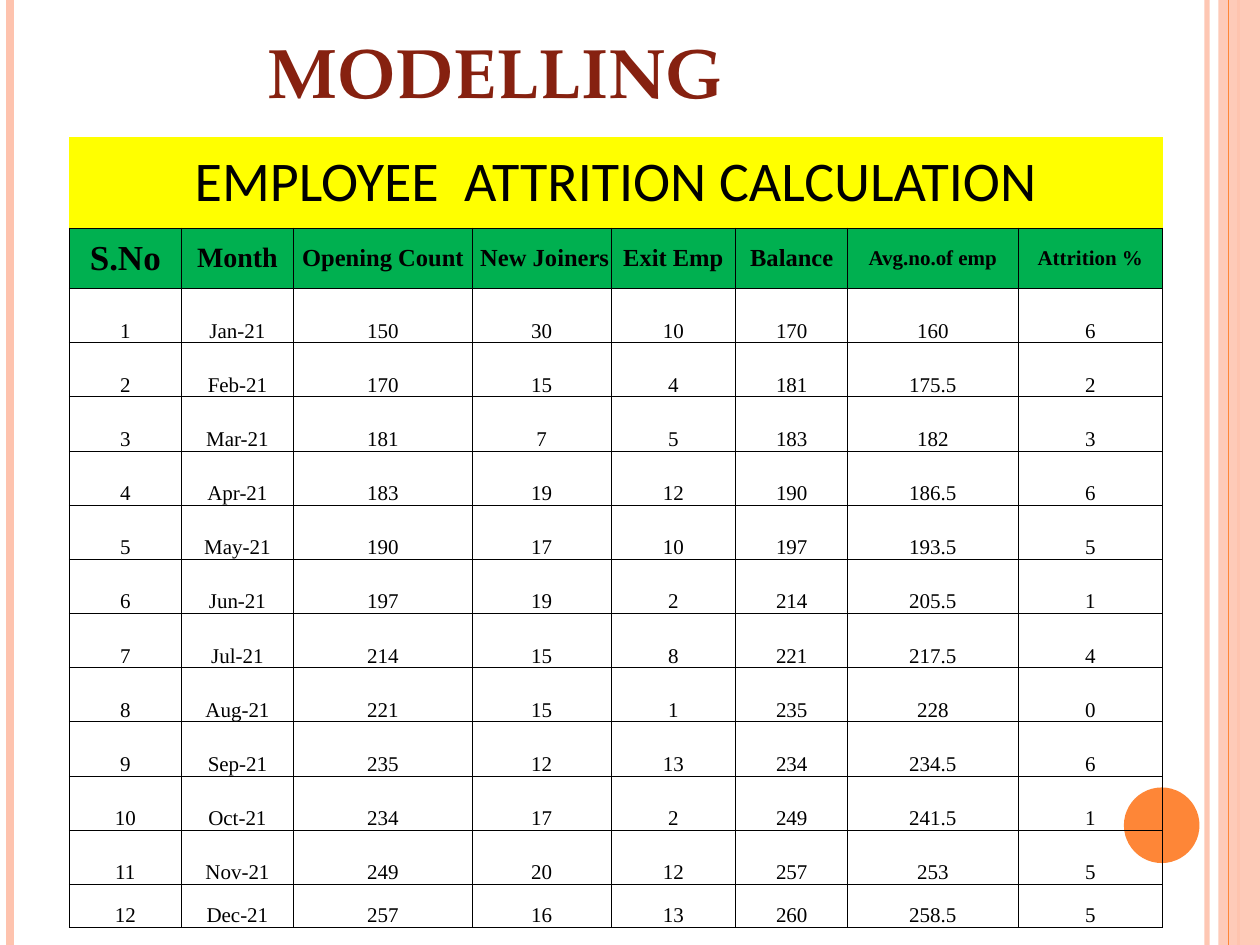
from dataclasses import dataclass

from lxml.etree import SubElement
from pptx import Presentation
from pptx.dml.color import RGBColor
from pptx.enum.shapes import MSO_CONNECTOR, MSO_SHAPE
from pptx.enum.text import MSO_ANCHOR, PP_ALIGN
from pptx.oxml import parse_xml
from pptx.oxml.ns import nsdecls, qn
from pptx.util import Inches, Pt


@dataclass(frozen=True)
class Theme:
    """Colours, fonts and type sizes of the slide."""

    peach: str = "FEC3AE"
    orange: str = "FE8637"
    maroon: str = "862110"
    yellow: str = "FFFF00"
    green: str = "00B050"
    black: str = "000000"
    title_font: str = "TeX Gyre Pagella"
    banner_font: str = "Calibri"
    table_font: str = "Times New Roman"
    title_size: int = 40
    banner_size: int = 32
    body_size: int = 12
    border_width: float = 0.5


THEME = Theme()
SLIDE_WIDTH, SLIDE_HEIGHT = 10, 7.5
TABLE_LEFT, TABLE_TOP = 0.55, 1.09
COLUMN_WIDTHS = (0.89, 0.89, 1.42, 1.1, 0.99, 0.89, 1.35, 1.15)
ROW_HEIGHTS = (0.72, 0.48, *[0.43] * 11, 0.34)
HEADERS = (
    ("S.No", 20), ("Month", 16), ("Opening Count", 14), (" New Joiners", 14),
    ("Exit Emp", 14), ("Balance", 14), ("Avg.no.of emp", 12), ("Attrition %", 12),
)
MONTHS = ("Jan", "Feb", "Mar", "Apr", "May", "Jun",
          "Jul", "Aug", "Sep", "Oct", "Nov", "Dec")
OPENING_COUNT = 150
NEW_JOINERS = (30, 15, 7, 19, 17, 19, 15, 15, 12, 17, 20, 16)
EXITS = (10, 4, 5, 12, 10, 2, 8, 1, 13, 2, 12, 13)


def attrition_rows():
    """Yield the table values month by month, carrying the balance forward."""
    opening = OPENING_COUNT
    for number, (month, joiners, exits) in enumerate(zip(MONTHS, NEW_JOINERS, EXITS), 1):
        balance = opening + joiners - exits
        average = (opening + balance) / 2
        rate = round(100 * exits / average)
        yield number, f"{month}-21", opening, joiners, exits, balance, f"{average:g}", rate
        opening = balance


def set_alpha(properties, percent):
    """Make the colour inside the given properties partly transparent."""
    color = next(properties.iter(qn("a:srgbClr")))
    SubElement(color, qn("a:alpha")).set("val", str(percent * 1000))


def format_run(paragraph, font_name, size, color, bold=False):
    """Apply one font to the runs of a paragraph."""
    for run in paragraph.runs:
        run.font.name = font_name
        run.font.size = Pt(size)
        run.font.bold = bold
        run.font.color.rgb = RGBColor.from_string(color)


def add_rule(slide, left, color, width, opacity=100):
    """Draw a full-height vertical line."""
    rule = slide.shapes.add_connector(
        MSO_CONNECTOR.STRAIGHT, Inches(left), 0, Inches(left), Inches(SLIDE_HEIGHT))
    rule.line.color.rgb = RGBColor.from_string(color)
    rule.line.width = Pt(width)
    properties = rule.line._get_or_add_ln().getparent()
    if opacity < 100:
        set_alpha(properties, opacity)
    SubElement(properties, qn("a:effectLst"))


def add_plain_shape(slide, kind, box, color, opacity=100):
    """Draw a filled shape without outline or shadow."""
    shape = slide.shapes.add_shape(kind, *map(Inches, box))
    shape.fill.solid()
    shape.fill.fore_color.rgb = RGBColor.from_string(color)
    if opacity < 100:
        set_alpha(shape.fill._xPr, opacity)
    shape.line.fill.background()
    shape.shadow.inherit = False


def add_decoration(slide):
    """Draw the side stripes and the corner disc."""
    add_rule(slide, 9.58, THEME.peach, 3, 93)
    add_rule(slide, 0.08, THEME.peach, 4.5)
    add_rule(slide, 9.75, THEME.orange, 0.75)
    add_plain_shape(slide, MSO_SHAPE.RECTANGLE, (9.67, 0, 0.33, SLIDE_HEIGHT), THEME.peach, 87)
    add_rule(slide, 9.83, THEME.peach, 1.5)
    add_rule(slide, 9.75, THEME.orange, 0.75)
    add_plain_shape(slide, MSO_SHAPE.OVAL, (8.92, 6.25, 0.6, 0.6), THEME.orange)


def set_title(slide, text):
    """Place and format the title placeholder."""
    title = slide.shapes.title
    title.left, title.top, title.width, title.height = map(Inches, (TABLE_LEFT, 0, 8.17, 0.94))
    frame = title.text_frame
    frame.text = text
    frame.margin_left = Inches(1.57)
    frame.vertical_anchor = MSO_ANCHOR.BOTTOM
    paragraph = frame.paragraphs[0]
    paragraph.alignment = PP_ALIGN.LEFT
    format_run(paragraph, THEME.title_font, THEME.title_size, THEME.maroon, True)


def set_borders(cell, visible_sides):
    """Draw the named sides of a cell and hide the others."""
    properties = cell._tc.get_or_add_tcPr()
    for position, side in enumerate("LRTB"):
        paint = (f'<a:solidFill><a:srgbClr val="{THEME.black}"/></a:solidFill>'
                 if side in visible_sides else "<a:noFill/>")
        border = parse_xml(
            f'<a:ln{side} {nsdecls("a")} w="{Pt(THEME.border_width)}">{paint}</a:ln{side}>')
        properties.insert(position, border)


def fill_cell(cell, text, font_name, size, bold=False, fill=None, anchor=MSO_ANCHOR.MIDDLE):
    """Write centred text into a cell and set its background."""
    cell.text_frame.text = str(text)
    cell.margin_left = cell.margin_right = cell.margin_top = cell.margin_bottom = 0
    cell.vertical_anchor = anchor
    paragraph = cell.text_frame.paragraphs[0]
    paragraph.alignment = PP_ALIGN.CENTER
    format_run(paragraph, font_name, size, THEME.black, bold)
    if fill:
        cell.fill.solid()
        cell.fill.fore_color.rgb = RGBColor.from_string(fill)
    else:
        cell.fill.background()


def add_attrition_table(slide):
    """Build the table with its banner, headers and monthly rows."""
    table = slide.shapes.add_table(
        len(ROW_HEIGHTS), len(COLUMN_WIDTHS), Inches(TABLE_LEFT), Inches(TABLE_TOP),
        Inches(sum(COLUMN_WIDTHS)), Inches(sum(ROW_HEIGHTS))).table
    table.first_row = table.horz_banding = False
    for column, width in zip(table.columns, COLUMN_WIDTHS):
        column.width = Inches(width)
    for row, height in zip(table.rows, ROW_HEIGHTS):
        row.height = Inches(height)

    banner = table.cell(0, 0)
    banner.merge(table.cell(0, len(COLUMN_WIDTHS) - 1))
    fill_cell(banner, "EMPLOYEE  ATTRITION CALCULATION",
              THEME.banner_font, THEME.banner_size, fill=THEME.yellow)
    for column, (text, size) in enumerate(HEADERS):
        fill_cell(table.cell(1, column), text, THEME.table_font, size, True, THEME.green)
    for row, values in enumerate(attrition_rows(), 2):
        for column, value in enumerate(values):
            fill_cell(table.cell(row, column), value, THEME.table_font,
                      THEME.body_size, anchor=MSO_ANCHOR.BOTTOM)
    for row_number, row in enumerate(table.rows):
        for cell in row.cells:
            set_borders(cell, "LRTB" if row_number else "B")


def main():
    """Build and save the presentation."""
    presentation = Presentation()
    presentation.slide_width = Inches(SLIDE_WIDTH)
    presentation.slide_height = Inches(SLIDE_HEIGHT)
    slide = presentation.slides.add_slide(presentation.slide_layouts[5])
    add_decoration(slide)
    set_title(slide, "MODELLING")
    add_attrition_table(slide)
    presentation.save("out.pptx")


if __name__ == "__main__":
    main()
